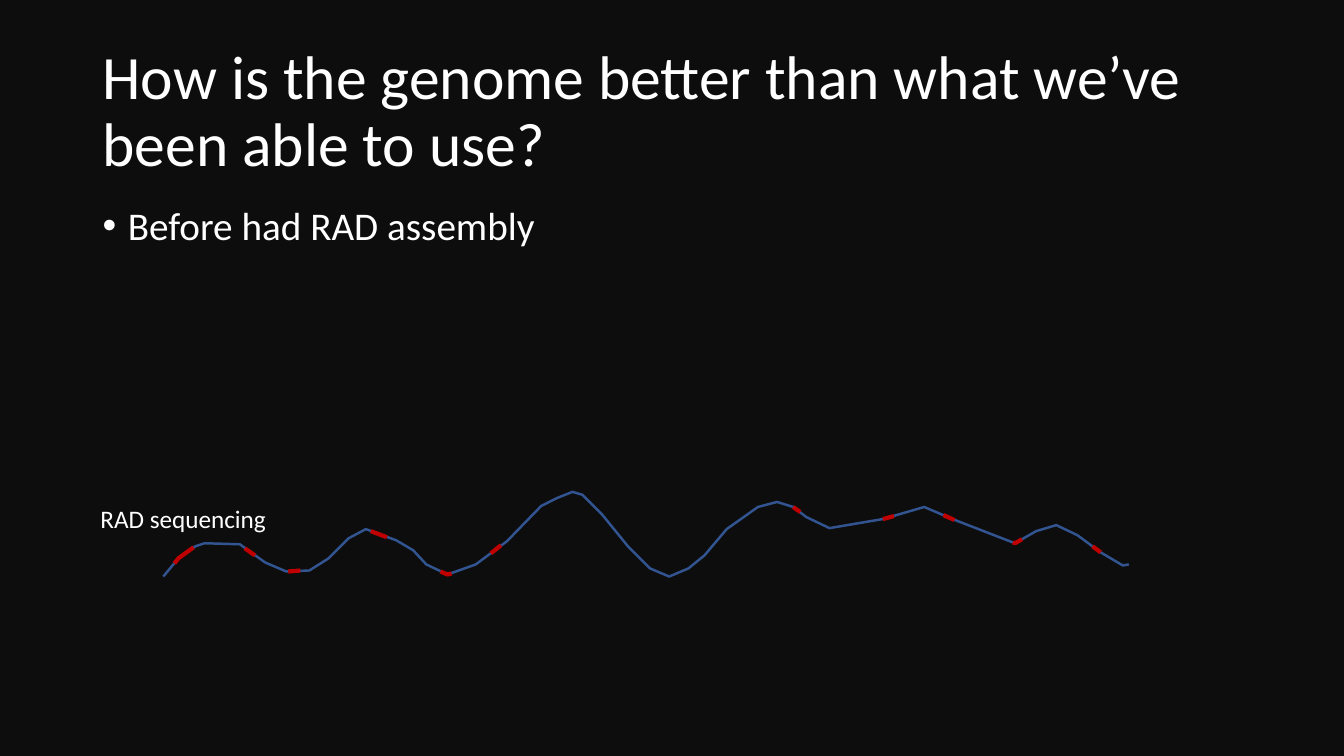
import pptx
import pptx.dml.color
import pptx.enum.text
import pptx.oxml
import pptx.oxml.ns
import pptx.util
from pptx.util import Cm, Pt

BACKGROUND = pptx.dml.color.RGBColor(0x0D, 0x0D, 0x0D)
WHITE = pptx.dml.color.RGBColor(0xFF, 0xFF, 0xFF)
GENOME_BLUE = pptx.dml.color.RGBColor(0x32, 0x54, 0x91)
READ_RED = pptx.dml.color.RGBColor(0xC0, 0x00, 0x00)
FONT = "Calibri"

TITLE = "How is the genome better than what we’ve been able to use?"
BULLET = "Before had RAD assembly"
LABEL = "RAD sequencing"

# Curve points are whole steps of this grid, measured from the slide corner.
GRID = Cm(0.0254)
GENOME = [
    (162, 572), (177, 554), (194, 542), (203, 539), (238, 540), (263, 558),
    (284, 567), (307, 566), (326, 554), (346, 534), (363, 525), (393, 536),
    (410, 546), (423, 560), (444, 570), (472, 560), (503, 537), (537, 502),
    (553, 494), (568, 488), (578, 491), (597, 510), (623, 542), (645, 564),
    (664, 572), (683, 564), (699, 551), (721, 525), (752, 503), (771, 498),
    (787, 503), (800, 513), (823, 524), (876, 515), (917, 503), (945, 515),
    (1007, 539), (1028, 527), (1048, 521), (1069, 531), (1092, 548),
    (1114, 561), (1120, 560),
]
# Where each sequenced read starts and ends along the genome.
READS = [
    (173, 192), (243, 253), (286, 298), (368, 384), (437, 448), (487, 497),
    (787, 794), (876, 887), (936, 947), (1005, 1014), (1084, 1092),
]


def genome_height(x):
    for (left, start), (right, end) in zip(GENOME, GENOME[1:]):
        if left <= x <= right:
            return round(start + (end - start) * (x - left) / (right - left))


def read_points(start, end):
    """Return the part of the genome curve that one read covers."""
    inner = [point for point in GENOME if start < point[0] < end]
    return [(start, genome_height(start)), *inner, (end, genome_height(end))]


def place(box, left, top, width, height):
    box.left, box.top, box.width, box.height = Cm(left), Cm(top), Cm(width), Cm(height)


def write(box, text, size):
    para = box.text_frame.paragraphs[0]
    para.text = text
    para.font.name = FONT
    para.font.size = Pt(size)
    para.font.color.rgb = WHITE
    return para


def add_bullet(para, indent):
    properties = para._p.get_or_add_pPr()
    properties.set("marL", str(indent))
    properties.set("indent", str(-indent))
    mark = pptx.oxml.parse_xml(
        f'<a:buChar {pptx.oxml.ns.nsdecls("a")} char="•"/>')
    properties.append(mark)


def draw_curve(shapes, points, color, weight):
    builder = shapes.build_freeform(*points[0], scale=GRID)
    builder.add_line_segments(points[1:], close=False)
    curve = builder.convert_to_shape()
    curve.shadow.inherit = False
    curve.fill.background()
    curve.line.color.rgb = color
    curve.line.width = Pt(weight)


def main():
    deck = pptx.Presentation()
    deck.slide_width, deck.slide_height = Cm(33.87), Cm(19.05)
    page = deck.slides.add_slide(deck.slide_layouts[1])
    page.background.fill.solid()
    page.background.fill.fore_color.rgb = BACKGROUND

    title, body = page.placeholders
    place(title, 2.33, 1.01, 29.21, 3.68)
    title.text_frame.vertical_anchor = pptx.enum.text.MSO_ANCHOR.MIDDLE
    heading = write(title, TITLE, 44)
    heading.alignment = pptx.enum.text.PP_ALIGN.LEFT
    heading.line_spacing = 0.9

    place(body, 2.33, 5.07, 14.05, 12.09)
    add_bullet(body.text_frame.paragraphs[0], Cm(0.64))
    item = write(body, BULLET, 28)
    item.line_spacing = 0.9
    item.space_before = Pt(0)

    sequence = page.shapes.add_group_shape()
    draw_curve(sequence.shapes, GENOME, GENOME_BLUE, 1.75)
    for start, end in READS:
        draw_curve(sequence.shapes, read_points(start, end), READ_RED, 3)

    label = page.shapes.add_textbox(Cm(2.28), Cm(12.57), Cm(4.75), Cm(1.03))
    label.text_frame.word_wrap = False
    label.text_frame.auto_size = pptx.enum.text.MSO_AUTO_SIZE.SHAPE_TO_FIT_TEXT
    write(label, LABEL, 18)

    deck.save("out.pptx")


if __name__ == "__main__":
    main()
